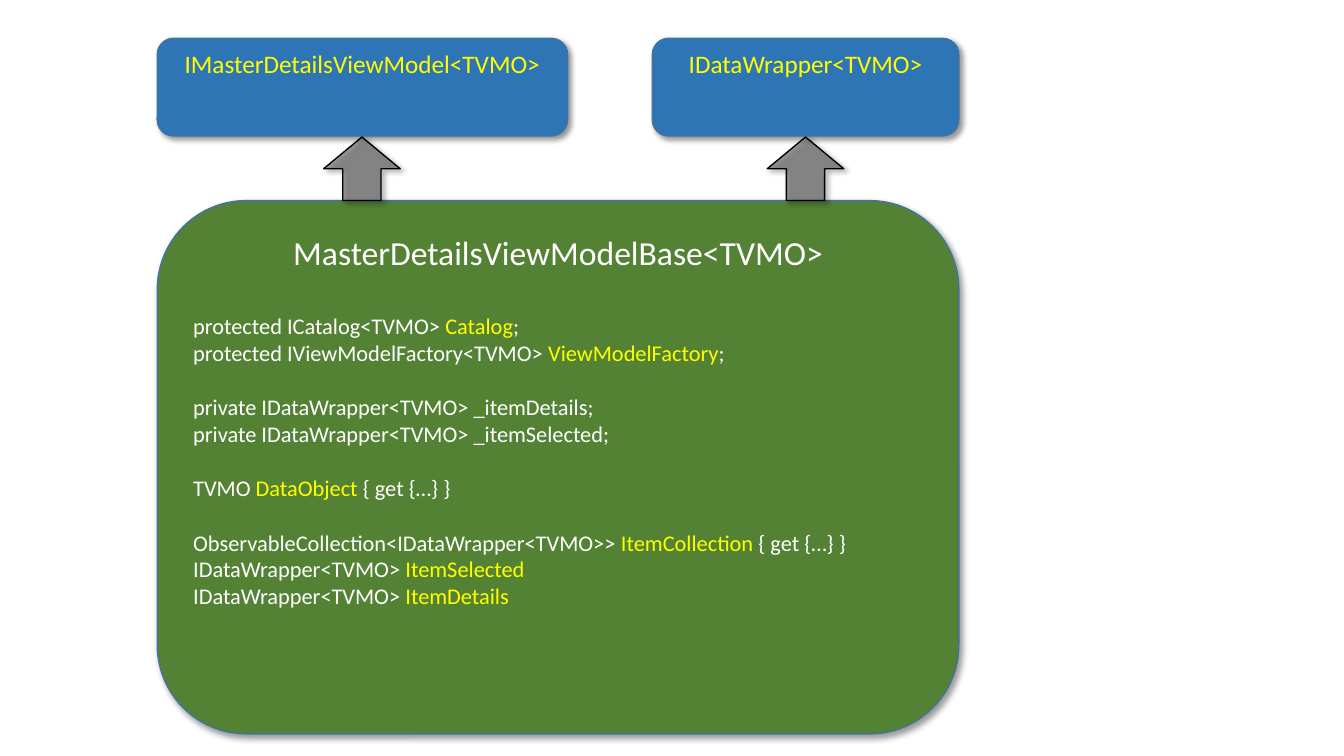
from dataclasses import dataclass

from lxml import etree
from pptx import Presentation
from pptx.dml.color import RGBColor
from pptx.enum.shapes import MSO_SHAPE as Shape
from pptx.enum.text import MSO_ANCHOR as Anchor, PP_ALIGN as Align
from pptx.oxml.ns import qn
from pptx.util import Pt

PX = 9144  # EMU per px, 100 px to the inch
FONT = "Calibri"
COLORS = {
    "class": "548235",
    "interface": "2E75B6",
    "border": "43739E",
    "arrow": "595959",
    "black": "000000",
    "text": "FFFFFF",
    "accent": "FFFF00",
}


@dataclass
class Box:
    left: int
    top: int
    width: int
    height: int


@dataclass
class Interface:
    name: str
    box: Box
    arrow_left: int


@dataclass
class Member:
    start: str
    accent: str = ""
    end: str = ""
    gap: float = 0


CLASS_NAME = "MasterDetailsViewModelBase<TVMO>"
CLASS_BOX = Box(156, 199, 795, 529)
TITLE_GAP, GROUP_GAP = 29, 19.5
MEMBERS = [
    Member("protected ICatalog<TVMO> ", "Catalog", ";", TITLE_GAP),
    Member("protected IViewModelFactory<TVMO> ", "ViewModelFactory", ";"),
    Member("private IDataWrapper<TVMO> _itemDetails;", gap=GROUP_GAP),
    Member("private IDataWrapper<TVMO> _itemSelected;"),
    Member("TVMO ", "DataObject", " { get {…} }", GROUP_GAP),
    Member("ObservableCollection<IDataWrapper<TVMO>> ", "ItemCollection",
           " { get {…} }", GROUP_GAP),
    Member("IDataWrapper<TVMO> ", "ItemSelected"),
    Member("IDataWrapper<TVMO> ", "ItemDetails"),
]
INTERFACES = [
    Interface("IMasterDetailsViewModel<TVMO>", Box(156, 38, 407, 97), 321),
    Interface("IDataWrapper<TVMO>", Box(647, 38, 304, 97), 761),
]


def color(name: str) -> RGBColor:
    return RGBColor.from_string(COLORS[name])


def add_shadow(shape) -> None:
    shape.shadow.inherit = False
    effects = shape._element.spPr.find(qn("a:effectLst"))
    shadow = etree.SubElement(
        effects, qn("a:outerShdw"), blurRad=str(Pt(4)), dist=str(Pt(3)),
        dir="2700000", algn="tl", rotWithShape="0")
    black = etree.SubElement(shadow, qn("a:srgbClr"), val=COLORS["black"])
    etree.SubElement(black, qn("a:alpha"), val="40000")


def add_block(slide, kind, box: Box, fill: str, border: str):
    block = slide.shapes.add_shape(
        kind, box.left * PX, box.top * PX, box.width * PX, box.height * PX)
    block.fill.solid()
    block.fill.fore_color.rgb = color(fill)
    block.line.color.rgb = color(border)
    block.line.width = Pt(1)
    add_shadow(block)
    block.text_frame.vertical_anchor = Anchor.TOP
    block.text_frame.word_wrap = True
    return block


def write(paragraph, text: str, size: int, tone: str) -> None:
    run = paragraph.add_run()
    run.text = text
    run.font.name = FONT
    run.font.size = Pt(size)
    run.font.color.rgb = color(tone)


def add_titled_box(slide, box: Box, fill: str, title: str, size: int,
                   tone: str):
    block = add_block(slide, Shape.ROUNDED_RECTANGLE, box, fill, "border")
    heading = block.text_frame.paragraphs[0]
    heading.alignment = Align.CENTER
    write(heading, title, size, tone)
    return block


def add_member(frame, member: Member) -> None:
    line = frame.add_paragraph()
    line.alignment = Align.LEFT
    line.space_before = Pt(member.gap)
    parts = ((member.start, "text"), (member.accent, "accent"),
             (member.end, "text"))
    for text, tone in parts:
        if text:
            write(line, text, 16, tone)


def add_arrow(slide, left: int) -> None:
    arrow = add_block(slide, Shape.UP_ARROW, Box(left, 136, 76, 63),
                      "arrow", "black")
    fill = arrow._element.spPr.find(qn("a:solidFill"))
    etree.SubElement(fill[0], qn("a:alpha"), val="60000")


def main() -> None:
    deck = Presentation()
    deck.slide_width, deck.slide_height = 1333 * PX, 750 * PX
    slide = deck.slides.add_slide(deck.slide_layouts[6])

    # Base class with its members
    base = add_titled_box(slide, CLASS_BOX, "class", CLASS_NAME, 24, "text")
    for member in MEMBERS:
        add_member(base.text_frame, member)

    # Interfaces it implements
    for interface in INTERFACES:
        add_titled_box(slide, interface.box, "interface", interface.name,
                       18, "accent")
        add_arrow(slide, interface.arrow_left)

    deck.save("out.pptx")


if __name__ == "__main__":
    main()
